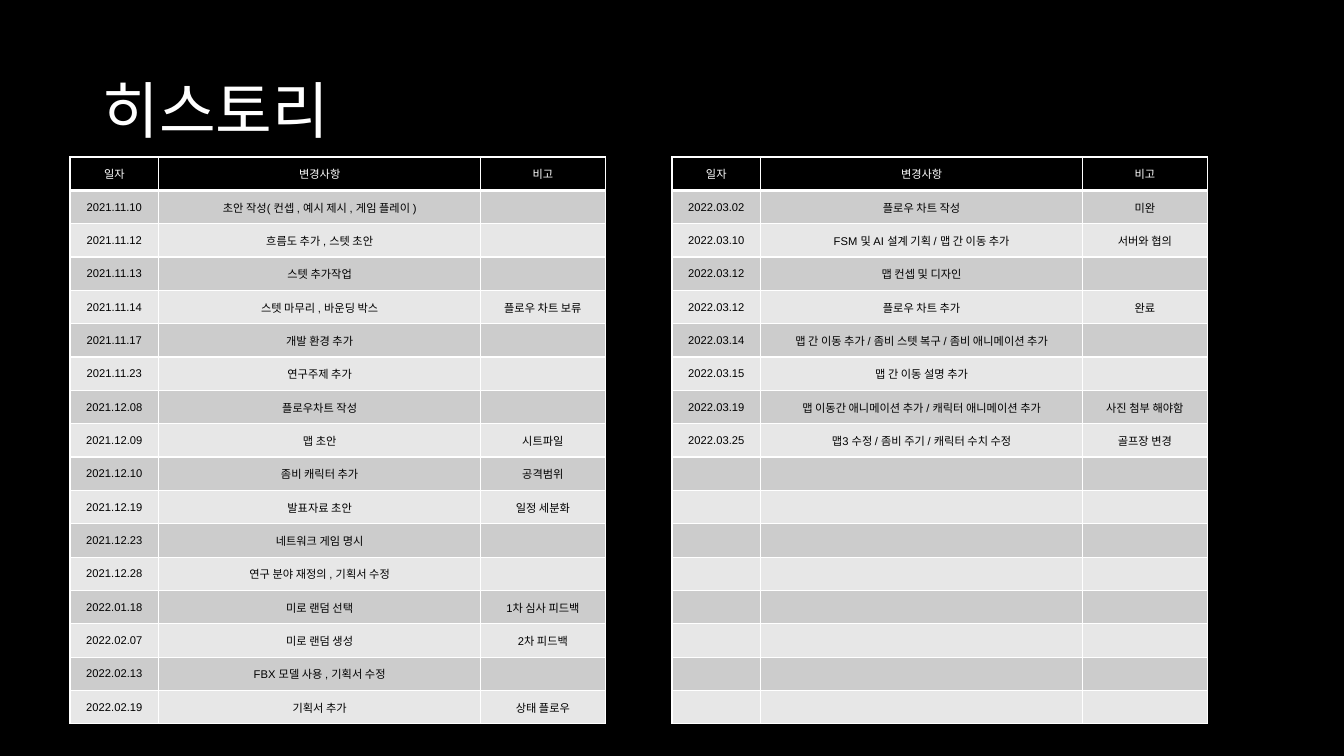
from lxml import etree
from pptx import Presentation
from pptx.dml.color import RGBColor
from pptx.enum.text import MSO_ANCHOR, PP_ALIGN
from pptx.oxml.ns import qn
from pptx.util import Pt

MIDDLE = MSO_ANCHOR.MIDDLE
LEFT, CENTER = PP_ALIGN.LEFT, PP_ALIGN.CENTER

HEADER = ("일자", "변경사항", "비고")
ROW_COUNT = 17
HISTORY_2021 = [
    ("2021.11.10", "초안 작성( 컨셉 , 예시 제시 , 게임 플레이 )", ""),
    ("2021.11.12", "흐름도 추가 , 스텟 초안", ""),
    ("2021.11.13", "스텟 추가작업", ""),
    ("2021.11.14", "스텟 마무리 , 바운딩 박스", "플로우 차트 보류"),
    ("2021.11.17", "개발 환경 추가", ""),
    ("2021.11.23", "연구주제 추가", ""),
    ("2021.12.08", "플로우차트 작성", ""),
    ("2021.12.09", "맵 초안", "시트파일"),
    ("2021.12.10", "좀비 캐릭터 추가", "공격범위"),
    ("2021.12.19", "발표자료 초안", "일정 세분화"),
    ("2021.12.23", "네트워크 게임 명시", ""),
    ("2021.12.28", "연구 분야 재정의 , 기획서 수정", ""),
    ("2022.01.18", "미로 랜덤 선택", "1차 심사 피드백"),
    ("2022.02.07", "미로 랜덤 생성", "2차 피드백"),
    ("2022.02.13", "FBX 모델 사용 , 기획서 수정", ""),
    ("2022.02.19", "기획서 추가", "상태 플로우"),
]
HISTORY_2022 = [
    ("2022.03.02", "플로우 차트 작성", "미완"),
    ("2022.03.10", "FSM 및 AI 설계 기획 / 맵 간 이동 추가", "서버와 협의"),
    ("2022.03.12", "맵 컨셉 및 디자인", ""),
    ("2022.03.12", "플로우 차트 추가", "완료"),
    ("2022.03.14", "맵 간 이동 추가 / 좀비 스텟 복구 / 좀비 애니메이션 추가", ""),
    ("2022.03.15", "맵 간 이동 설명 추가", ""),
    ("2022.03.19", "맵 이동간 애니메이션 추가 / 캐릭터 애니메이션 추가", "사진 첨부 해야함"),
    ("2022.03.25", "맵3 수정 / 좀비 주기 / 캐릭터 수치 수정", "골프장 변경"),
]


def color(value):
    return RGBColor.from_string(value)


class HistorySlide:
    black, white = "000000", "FFFFFF"
    bands = ("CCCCCC", "E7E7E7")
    columns = (88 * 0.72, 319.5 * 0.72, 123.5 * 0.72)
    row_height = 23.82

    def __init__(self, deck):
        self.page = deck.slides.add_slide(deck.slide_layouts[5])
        fill = self.page.background.fill
        fill.solid()
        fill.fore_color.rgb = color(self.black)

    def style(self, paragraph, size, font, ink, align):
        paragraph.alignment = align
        paragraph.font.size = Pt(size)
        paragraph.font.name = font
        paragraph.font.bold = False
        paragraph.font.color.rgb = color(ink)

    def title(self, text, left, top, width, height):
        box = self.page.shapes.title
        box.left, box.top, box.width, box.height = map(Pt, (left, top, width, height))
        box.text_frame.text = text
        box.text_frame.vertical_anchor = MIDDLE
        paragraph = box.text_frame.paragraphs[0]
        paragraph.line_spacing = 0.9
        self.style(paragraph, 44, "Calibri", self.white, LEFT)

    def borders(self, cell, bottom):
        properties = cell._tc.get_or_add_tcPr()
        for side, width in (("L", 1), ("R", 1), ("T", 1), ("B", bottom)):
            line = etree.SubElement(properties, qn(f"a:ln{side}"), w=str(Pt(width)))
            fill = etree.SubElement(line, qn("a:solidFill"))
            etree.SubElement(fill, qn("a:srgbClr"), val=self.white)

    def cell(self, cell, text, fill, ink, bottom):
        cell.text = text
        cell.vertical_anchor = MIDDLE
        cell.margin_top = cell.margin_bottom = Pt(1)
        self.style(cell.text_frame.paragraphs[0], 8, "Arial", ink, CENTER)
        self.borders(cell, bottom)
        cell.fill.solid()
        cell.fill.fore_color.rgb = color(fill)

    def table(self, entries, left, top):
        frame = self.page.shapes.add_table(
            ROW_COUNT, len(HEADER), Pt(left), Pt(top),
            Pt(sum(self.columns)), Pt(self.row_height * ROW_COUNT))
        table = frame.table
        table.first_row = table.horz_banding = False
        for column, width in zip(table.columns, self.columns):
            column.width = Pt(width)
        blanks = [("", "", "")] * (ROW_COUNT - 1 - len(entries))
        for index, texts in enumerate([HEADER, *entries, *blanks]):
            table.rows[index].height = Pt(self.row_height)
            if index == 0:
                look = (self.black, self.white, 3)
            else:
                look = (self.bands[(index - 1) % 2], self.black, 1)
            for cell, text in zip(table.rows[index].cells, texts):
                self.cell(cell, text, *look)


def main():
    deck = Presentation()
    deck.slide_width, deck.slide_height = Pt(960), Pt(540)
    slide = HistorySlide(deck)
    slide.title("히스토리", 66, 28.75, 828, 104.4)
    slide.table(HISTORY_2021, 50, 112.2)
    slide.table(HISTORY_2022, 480, 112.2)
    deck.save("out.pptx")


if __name__ == "__main__":
    main()
